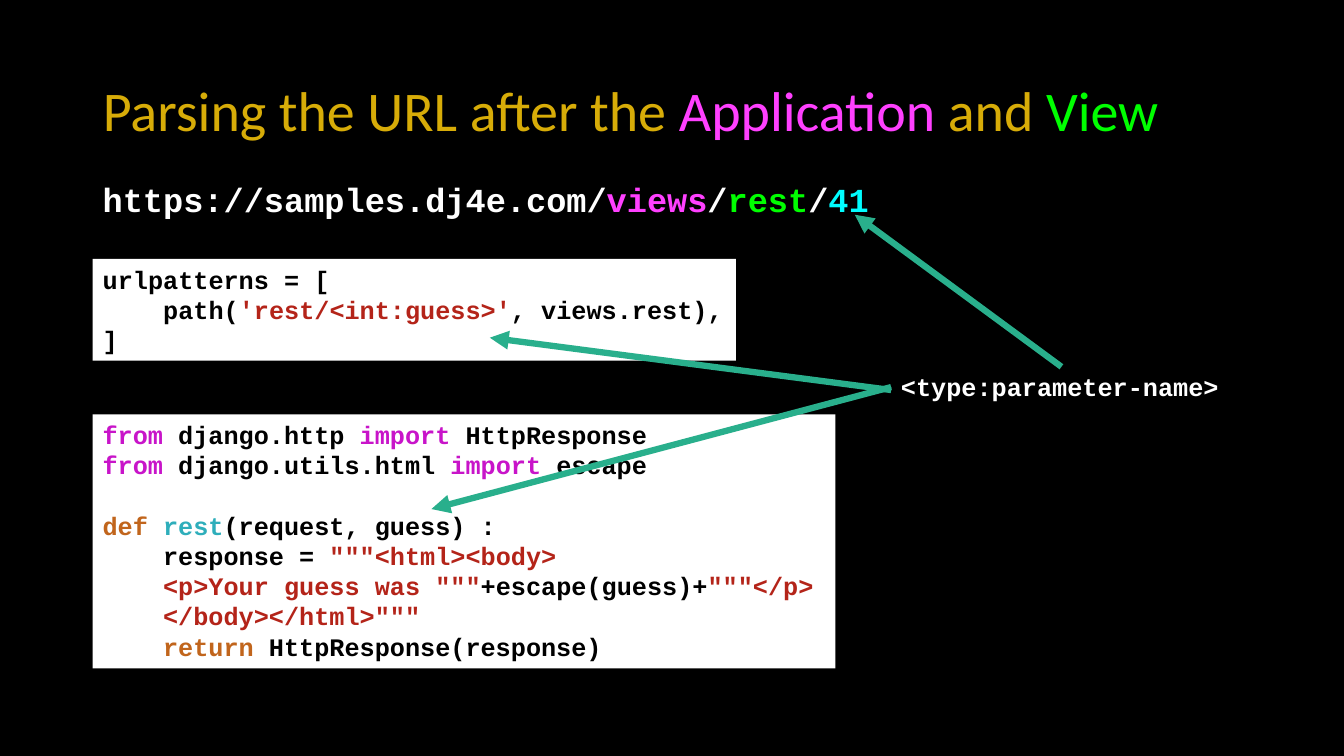
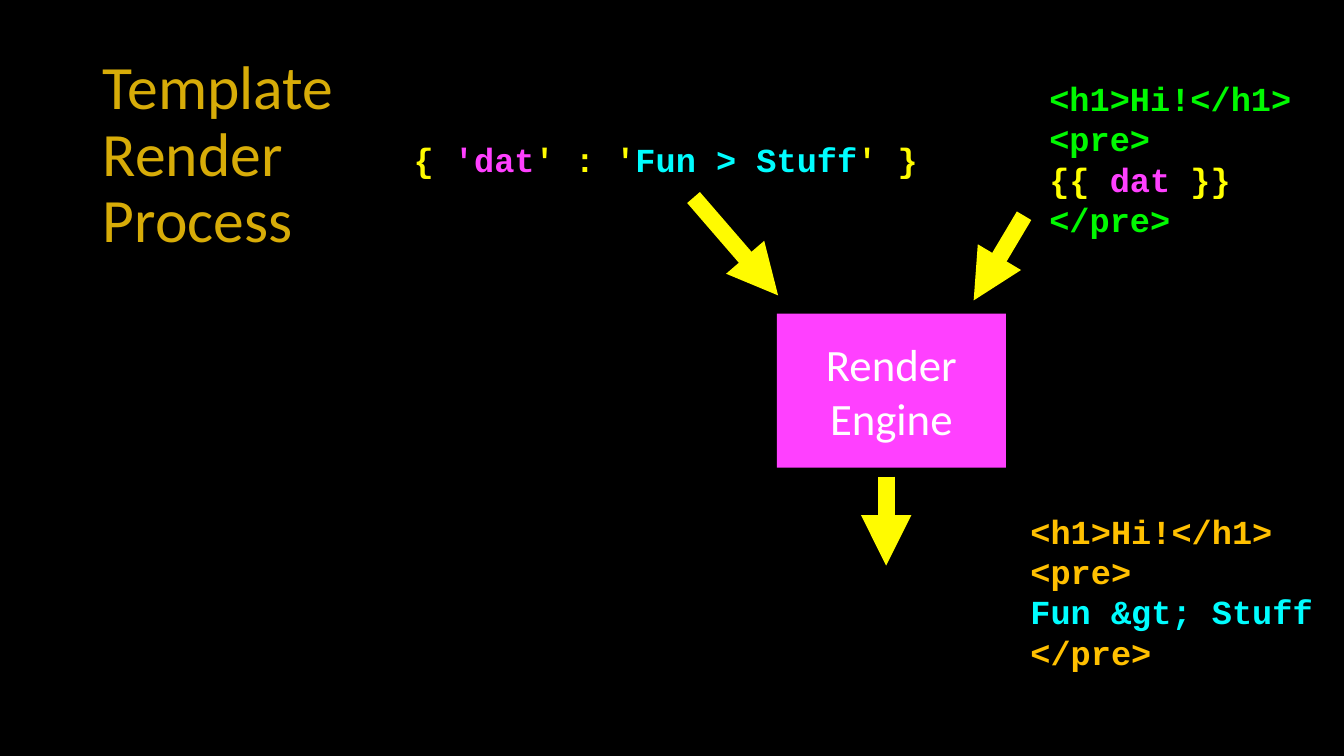
from lxml.etree import SubElement
from pptx import Presentation
from pptx.dml.color import RGBColor
from pptx.enum.shapes import MSO_CONNECTOR, MSO_SHAPE
from pptx.enum.text import MSO_ANCHOR, MSO_AUTO_SIZE, PP_ALIGN
from pptx.oxml.ns import qn
from pptx.util import Pt

TITLE_FONT = "Calibri"
CODE_FONT = "Courier New"
LEFT = 66.24
BLACK, WHITE = "000000", "FFFFFF"
GOLD, MAGENTA, LIME, CYAN = "D7AC08", "FF40FF", "00FF00", "00FDFF"
GREEN, YELLOW, BRIGHT_YELLOW, AMBER = "00F900", "FFFB00", "FFFF00", "FFC000"
TEAL, STRING_RED, IMPORT_PURPLE = "29AF8C", "B42419", "C814C9"
KEYWORD_BROWN, FUNCTION_BLUE = "C1651C", "2EAEBB"

URL = [[("https://samples.dj4e.com/", WHITE), ("views", MAGENTA), ("/", WHITE),
        ("rest", LIME), ("/", WHITE), ("41", CYAN)]]
ROUTES = [
    [("urlpatterns = [", BLACK)],
    [("    path(", BLACK), ("'rest/<int:guess>'", STRING_RED), (", views.rest),", BLACK)],
    [("]", BLACK)],
]
VIEW = [
    [("from ", IMPORT_PURPLE), ("django.http ", BLACK),
     ("import ", IMPORT_PURPLE), ("HttpResponse", BLACK)],
    [("from ", IMPORT_PURPLE), ("django.utils.html ", BLACK),
     ("import", IMPORT_PURPLE), (" escape", BLACK)],
    [],
    [("def ", KEYWORD_BROWN), ("rest", FUNCTION_BLUE), ("(request, guess) :", BLACK)],
    [("    response = ", BLACK), ('"""<html><body>', STRING_RED)],
    [('    <p>Your guess was """', STRING_RED), ("+escape(guess)+", BLACK),
     ('"""</p>', STRING_RED)],
    [('    </body></html>"""', STRING_RED)],
    [("    ", BLACK), ("return ", KEYWORD_BROWN), ("HttpResponse(response)", BLACK)],
]
CONTEXT = [[("{ ", YELLOW), ("'dat", MAGENTA), ("' : ", YELLOW),
            ("'", BRIGHT_YELLOW), ("Fun > Stuff", CYAN), ("' }", YELLOW)]]


def html_page(colour, content):
    return [[("<h1>Hi!</h1>", colour)], [("<pre>", colour)], content, [("</pre>", colour)]]


def rgb(colour):
    return RGBColor.from_string(colour)


def place(at):
    return [Pt(length) for length in at]


def style(span, font, size, colour, bold=False):
    span.font.name = font
    span.font.size = Pt(size)
    span.font.bold = bold
    span.font.color.rgb = rgb(colour)


def add_spans(para, spans, font, size, bold=False):
    for text, colour in spans:
        span = para.add_run()
        span.text = text
        style(span, font, size, colour, bold)


def add_title(page, at, size, spans):
    title = page.shapes.title
    title.left, title.top, title.width, title.height = place(at)
    frame = title.text_frame
    frame.word_wrap = True
    frame.auto_size = MSO_AUTO_SIZE.NONE
    frame.vertical_anchor = MSO_ANCHOR.MIDDLE
    para = frame.paragraphs[0]
    para.alignment = PP_ALIGN.LEFT
    para.line_spacing = 0.9
    add_spans(para, spans, TITLE_FONT, size)


def set_margins(frame, margin):
    frame.margin_left = frame.margin_right = Pt(margin)
    frame.margin_top = frame.margin_bottom = Pt(margin)


def add_code(page, at, size, lines, fill=None, align=PP_ALIGN.LEFT):
    box = page.shapes.add_textbox(*place(at))
    if fill:
        box.fill.solid()
        box.fill.fore_color.rgb = rgb(fill)
    frame = box.text_frame
    frame.word_wrap = False
    frame.auto_size = MSO_AUTO_SIZE.SHAPE_TO_FIT_TEXT
    frame.text = "\n" * (len(lines) - 1)
    for para, spans in zip(frame.paragraphs, lines):
        para.alignment = align
        para.line_spacing = Pt(size * 1.2)
        add_spans(para, spans, CODE_FONT, size, bold=True)
    return frame


def add_centred_code(page, at, lines, align=PP_ALIGN.LEFT):
    frame = add_code(page, at, 24, lines, align=align)
    frame.vertical_anchor = MSO_ANCHOR.MIDDLE
    set_margins(frame, 4.5)


def add_block(page, at, text):
    block = page.shapes.add_shape(MSO_SHAPE.RECTANGLE, *place(at))
    block.shadow.inherit = False
    block.fill.solid()
    block.fill.fore_color.rgb = rgb(MAGENTA)
    block.line.fill.background()
    frame = block.text_frame
    frame.vertical_anchor = MSO_ANCHOR.MIDDLE
    set_margins(frame, 4.5)
    frame.text = text
    for para in frame.paragraphs:
        para.alignment = PP_ALIGN.CENTER
        style(para.runs[0], TITLE_FONT, 32, WHITE)


def add_arrow(page, start, end, colour, width):
    arrow = page.shapes.add_connector(MSO_CONNECTOR.STRAIGHT, *place(start + end))
    arrow.line.color.rgb = rgb(colour)
    arrow.line.width = Pt(width)
    properties = arrow.element.spPr
    SubElement(properties.find(qn("a:ln")), qn("a:tailEnd"), type="triangle")
    SubElement(properties, qn("a:effectLst"))


def build_url_page(page):
    add_title(page, (LEFT, 28.8, 828, 104.4), 40,
              [("Parsing the URL after the ", GOLD), ("Application ", MAGENTA),
               ("and ", GOLD), ("View", LIME)])
    add_code(page, (LEFT, 185, 459.4, 72.7), 18, ROUTES, WHITE)
    add_code(page, (LEFT, 296, 530.6, 181.4), 18, VIEW, WHITE)
    add_code(page, (LEFT, 124, 580.3, 36), 24, URL)
    add_code(page, (636.5, 262, 242.6, 29), 18, [[("<type:parameter-name>", WHITE)]])
    for start, end in [
        ((636.5, 276.5), (308.2, 363.6)),
        ((636.5, 278.6), (349.9, 241.2)),
        ((758.2, 262), (610.6, 153.4)),
    ]:
        add_arrow(page, start, end, TEAL, 4.5)


def build_render_page(page):
    add_title(page, (LEFT, 28.8, 221.8, 165.6), 44, [("Template Render Process", GOLD)])
    add_block(page, (555, 224, 163.5, 110), "Render\nEngine")
    template = html_page(GREEN, [("{{ ", BRIGHT_YELLOW), ("dat ", MAGENTA),
                                 ("}}", BRIGHT_YELLOW)])
    add_centred_code(page, (745, 51, 182, 124.5), template)
    add_centred_code(page, (290, 94.5, 371, 37.5), CONTEXT, PP_ALIGN.CENTER)
    add_centred_code(page, (731.5, 360, 211, 124.5),
                     html_page(AMBER, [("Fun &gt; Stuff", CYAN)]))
    for start, end in [
        ((495.4, 141.1), (555.8, 211)),
        ((731.5, 154.1), (695.5, 214.6)),
        ((633, 340.5), (633, 404)),
    ]:
        add_arrow(page, start, end, YELLOW, 12)


def main():
    deck = Presentation()
    deck.slide_width, deck.slide_height = Pt(960), Pt(540)
    background = deck.slide_master.background.fill
    background.solid()
    background.fore_color.rgb = rgb(BLACK)
    for build in (build_url_page, build_render_page):
        build(deck.slides.add_slide(deck.slide_layouts[5]))
    deck.save("out.pptx")


if __name__ == "__main__":
    main()
